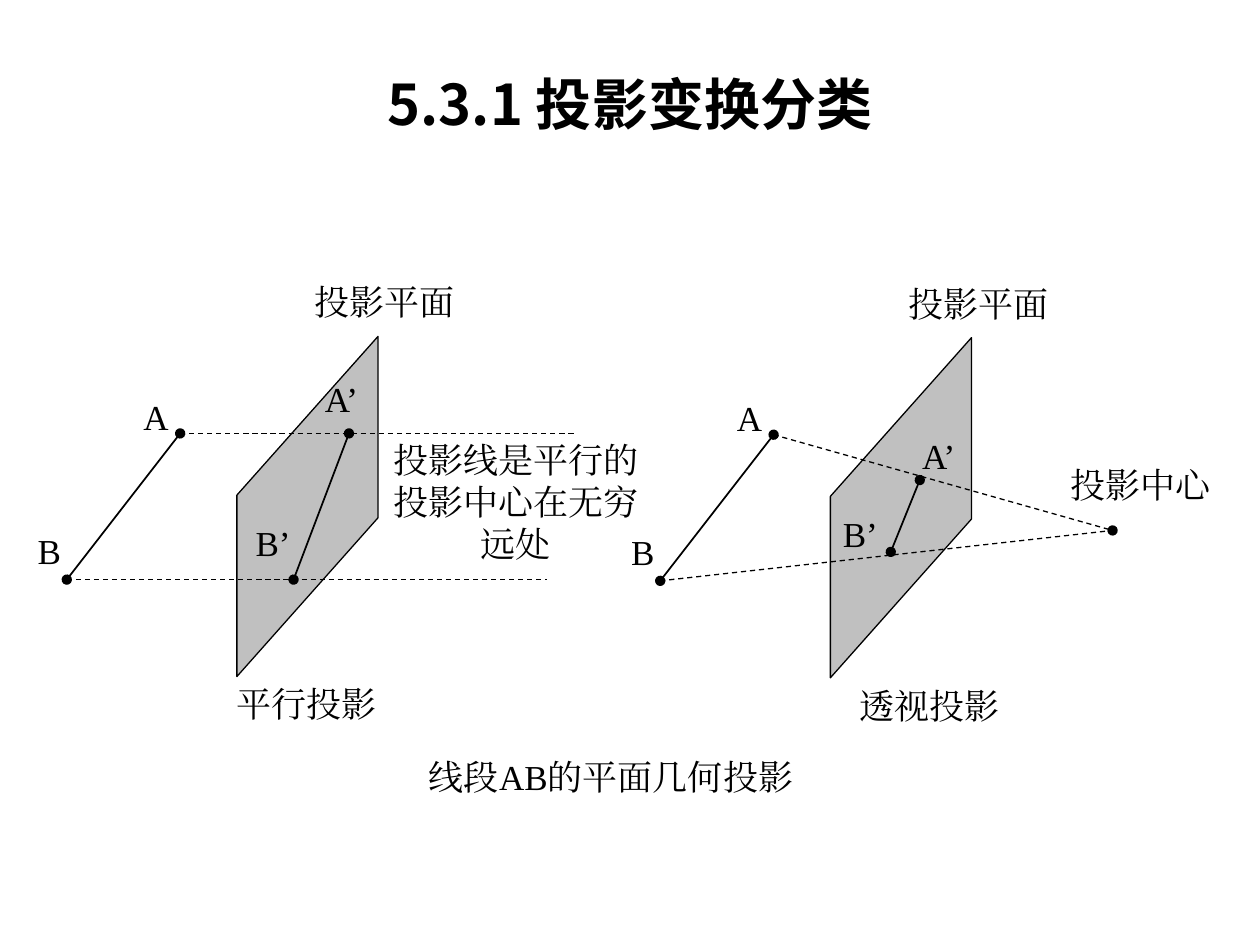
import dataclasses
import typing

import pptx
import pptx.dml.color
import pptx.enum.dml
import pptx.enum.shapes
import pptx.enum.text
import pptx.oxml
import pptx.oxml.ns
import pptx.util

Point = tuple[float, float]
ALIGN = pptx.enum.text.PP_ALIGN
COLUMNS, ROWS = 100, 75
INK, PLANE_FILL = "000000", "C0C0C0"
LATIN, CHINESE = "Times New Roman", "Noto Sans CJK SC"

deck = pptx.Presentation()
deck.slide_width, deck.slide_height = pptx.util.Inches(10), pptx.util.Inches(7.5)
page = deck.slides.add_slide(deck.slide_layouts[5])


@dataclasses.dataclass
class Label:
    text: str
    column: float
    row: float
    width: float = 11.2
    height: float = 5.6
    align: typing.Any = ALIGN.JUSTIFY


@dataclasses.dataclass
class Ray:
    start: Point
    end: Point
    weight: float = 0.75
    dashed: bool = True
    head: bool = False
    tail: bool = False


@dataclasses.dataclass
class Panel:
    origin: Point
    rays: list[Ray]
    labels: list[Label]


def across(columns: float) -> int:
    return round(deck.slide_width * columns / COLUMNS)


def down(rows: float) -> int:
    return round(deck.slide_height * rows / ROWS)


def colour(value: str) -> pptx.dml.color.RGBColor:
    return pptx.dml.color.RGBColor.from_string(value)


def write(frame, text: str, *, size=20, font=LATIN, asian=LATIN, bold=False, align=ALIGN.CENTER) -> None:
    for index, line in enumerate(text.split("\n")):
        para = frame.add_paragraph() if index else frame.paragraphs[0]
        para.alignment = align
        span = para.add_run()
        span.text = line
        span.font.size, span.font.name, span.font.bold = pptx.util.Pt(size), font, bold
        span.font.color.rgb = colour(INK)
        face = pptx.oxml.parse_xml(f'<a:ea {pptx.oxml.ns.nsdecls("a")} typeface="{asian}"/>')
        span.font._element.find(pptx.oxml.ns.qn("a:latin")).addnext(face)


def draw_label(label: Label, origin: Point = (0, 0)) -> None:
    box = page.shapes.add_textbox(
        across(origin[0] + label.column), down(origin[1] + label.row),
        across(label.width), down(label.height))
    box.text_frame.word_wrap = True
    write(box.text_frame, label.text, align=label.align)


def draw_ray(ray: Ray, origin: Point) -> None:
    ends = [length for column, row in (ray.start, ray.end)
            for length in (across(origin[0] + column), down(origin[1] + row))]
    line = page.shapes.add_connector(pptx.enum.shapes.MSO_CONNECTOR.STRAIGHT, *ends)
    line.line.color.rgb = colour(INK)
    line.line.width = pptx.util.Pt(ray.weight)
    if ray.dashed:
        line.line.dash_style = pptx.enum.dml.MSO_LINE.DASH
    stroke = line.line._get_or_add_ln()
    for shown, tag in ((ray.head, "headEnd"), (ray.tail, "tailEnd")):
        if shown:
            stroke.append(pptx.oxml.parse_xml(
                f'<a:{tag} {pptx.oxml.ns.nsdecls("a")} type="oval"/>'))
    line._element.spPr.append(pptx.oxml.parse_xml(
        f'<a:effectLst {pptx.oxml.ns.nsdecls("a")}/>'))


def draw_plane(origin: Point) -> None:
    corners = [(across(origin[0] + column), down(origin[1] + row))
               for column, row in ((18.8, 39.3), (30, 26.7), (30, 41.1), (18.8, 53.7))]
    builder = page.shapes.build_freeform(*corners[0], scale=1.0)
    builder.add_line_segments(corners[1:], close=True)
    plane = builder.convert_to_shape()
    plane.shadow.inherit = False
    plane.fill.solid()
    plane.fill.fore_color.rgb = colour(PLANE_FILL)
    plane.line.color.rgb = colour(INK)
    plane.line.width = pptx.util.Pt(0.75)


def segment(start: Point, end: Point) -> Ray:
    return Ray(start, end, weight=1, dashed=False, head=True, tail=True)


def draw_panel(panel: Panel) -> None:
    draw_plane(panel.origin)
    for ray in [segment(POINT_A, POINT_B), *panel.rays]:
        draw_ray(ray, panel.origin)
    shared = [Label("A", 10.4, 30.9), Label("B", 2, 41.5),
              Label("投影平面", 22.7, 21.8, 15.7, align=ALIGN.CENTER)]
    for label in shared + panel.labels:
        draw_label(label, panel.origin)


POINT_A, POINT_B, CENTRE = (14.3, 34.4), (5.3, 46), (41.2, 42)

PANELS = [
    Panel((0, 0),
          [segment((27.7, 34.4), (23.3, 46)),
           Ray(POINT_A, (45.7, 34.4)), Ray(POINT_B, (43.4, 46))],
          [Label("A’", 24.8, 29.5), Label("B’", 19.3, 40.9),
           Label("投影线是平行的\n投影中心在无穷远处", 30, 34.3, 21.9, 8.7, ALIGN.CENTER),
           Label("平行投影", 16.5, 53.7, 15.7, align=ALIGN.CENTER)]),
    Panel((47.1, 0.1),
          [segment((25.9, 38), (23.6, 43.7)),
           Ray(POINT_A, CENTRE), Ray(POINT_B, CENTRE, tail=True)],
          [Label("A’", 25.1, 33.9), Label("B’", 18.8, 40.1),
           Label("投影中心", 36.7, 36.2, 13.4, align=ALIGN.CENTER),
           Label("透视投影", 18.8, 53.7, 15.7, align=ALIGN.CENTER)]),
]


def main() -> None:
    """Build the slide comparing parallel and perspective projection."""
    title = page.shapes.title
    title.left, title.top = across(5), down(3)
    title.width, title.height = across(90), down(10.3)
    title.text_frame.vertical_anchor = pptx.enum.text.MSO_ANCHOR.MIDDLE
    write(title.text_frame, "5.3.1 投影变换分类", size=32, font=CHINESE, asian=CHINESE, bold=True)
    for panel in PANELS:
        draw_panel(panel)
    draw_label(Label("线段AB的平面几何投影", 24.7, 59.5, 47.6, align=ALIGN.CENTER))
    deck.save("out.pptx")


if __name__ == "__main__":
    main()
